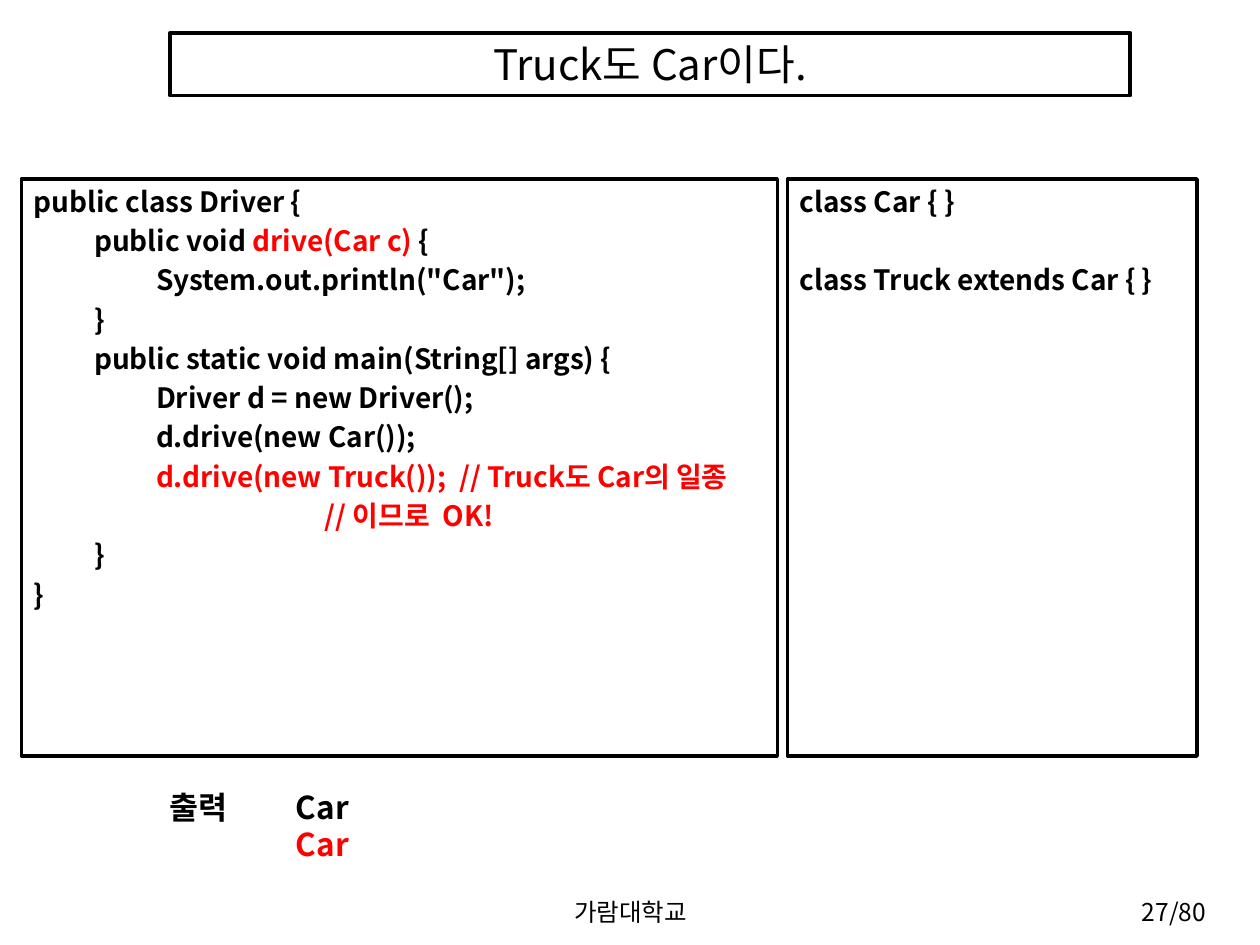
from lxml import etree
from pptx import Presentation
from pptx.dml.color import RGBColor
from pptx.enum.shapes import MSO_SHAPE
from pptx.enum.text import MSO_ANCHOR, PP_ALIGN
from pptx.oxml.ns import qn
from pptx.util import Inches, Pt

RECTANGLE = MSO_SHAPE.RECTANGLE
TOP, MIDDLE = MSO_ANCHOR.TOP, MSO_ANCHOR.MIDDLE
LEFT, CENTER, RIGHT = PP_ALIGN.LEFT, PP_ALIGN.CENTER, PP_ALIGN.RIGHT

BLACK = RGBColor(0x00, 0x00, 0x00)
RED = RGBColor(0xFF, 0x00, 0x00)
WHITE = RGBColor(0xFF, 0xFF, 0xFF)
FONT = "Noto Sans CJK KR"
LINE_HEIGHT = 1.17  # line pitch relative to the text size

# Each paragraph is a list of (text, colour) runs.
TITLE = [[("Truck도 Car이다.", BLACK)]]
DRIVER_CODE = [
    [("public class Driver {", BLACK)],
    [("\tpublic void ", BLACK), ("drive(Car c)", RED), (" {", BLACK)],
    [('\t\tSystem.out.println("Car");', BLACK)],
    [("\t}", BLACK)],
    [("\tpublic static void main(String[] args) {", BLACK)],
    [("\t\tDriver d = new Driver();", BLACK)],
    [("\t\td.drive(new Car());", BLACK)],
    [("\t\td.drive(new Truck());\t// Truck도 Car의 일종", RED)],
    [("\t\t\t// 이므로  OK!", RED)],
    [("\t}", BLACK)],
    [("}", BLACK)],
]
CAR_CODE = [
    [("class Car { }", BLACK)],
    [],
    [("class Truck extends Car { }", BLACK)],
]
OUTPUT = [[("출력\tCar", BLACK)], [("\tCar", RED)]]
FOOTER = [[("가람대학교", BLACK)]]
PAGE_NUMBER = [[("27/80", BLACK)]]

CODE_TABS = (0.48, 0.97, 2.31, 3.38)
OUTPUT_TABS = (1.0,)
CODE_TOP, CODE_HEIGHT = 1.42, 4.58


def place(shape, left, top, width, height):
    shape.left, shape.top = Inches(left), Inches(top)
    shape.width, shape.height = Inches(width), Inches(height)


def outline(shape):
    shape.fill.solid()
    shape.fill.fore_color.rgb = WHITE
    shape.line.color.rgb = BLACK
    shape.line.width = Pt(2)


def set_tabs(para, stops):
    properties = para._p.get_or_add_pPr()
    tab_list = etree.SubElement(properties, qn("a:tabLst"))
    for stop in stops:
        etree.SubElement(tab_list, qn("a:tab"), pos=str(Inches(stop)), algn="l")


def write(shape, paragraphs, size, bold=False, align=LEFT, anchor=TOP,
          space=0, tabs=()):
    frame = shape.text_frame
    frame.word_wrap = True
    frame.vertical_anchor = anchor
    frame.margin_left = frame.margin_right = Inches(0.1)
    frame.margin_top = frame.margin_bottom = Inches(0.05)
    for index, runs in enumerate(paragraphs):
        para = frame.add_paragraph() if index else frame.paragraphs[0]
        para.alignment = align
        para.line_spacing = Pt(round(size * LINE_HEIGHT, 2))
        para.space_before = Pt(space)
        para.font.size = Pt(size)
        if tabs:
            set_tabs(para, tabs)
        for text, color in runs:
            span = para.add_run()
            span.text = text
            span.font.size = Pt(size)
            span.font.bold = bold
            span.font.name = FONT
            span.font.color.rgb = color
            latin = span._r.rPr.find(qn("a:latin"))
            latin.addnext(etree.Element(qn("a:ea"), typeface=FONT))


def add_text(page, area, paragraphs, size, **style):
    box = page.shapes.add_textbox(*map(Inches, area))
    write(box, paragraphs, size, **style)


def add_code(page, left, width, paragraphs):
    panel = page.shapes.add_shape(RECTANGLE, 0, 0, 0, 0)
    panel.shadow.inherit = False
    place(panel, left, CODE_TOP, width, CODE_HEIGHT)
    outline(panel)
    write(panel, paragraphs, 16, bold=True, space=3.75, tabs=CODE_TABS)


def main():
    deck = Presentation()
    deck.slide_width, deck.slide_height = Inches(10), Inches(7.5)
    page = deck.slides.add_slide(deck.slide_layouts[5])

    title = page.shapes.title
    place(title, 1.35, 0.26, 7.62, 0.5)
    outline(title)
    write(title, TITLE, 24, align=CENTER, anchor=MIDDLE)

    add_code(page, 0.17, 6, DRIVER_CODE)
    add_code(page, 6.25, 3.25, CAR_CODE)
    add_text(page, (1.25, 6.21, 4.25, 0.71), OUTPUT, 18, bold=True,
             tabs=OUTPUT_TABS)
    add_text(page, (3.42, 7.08, 3.17, 0.27), FOOTER, 14, align=CENTER)
    add_text(page, (8.75, 7.08, 0.92, 0.34), PAGE_NUMBER, 14, align=RIGHT)

    deck.save("out.pptx")


if __name__ == "__main__":
    main()
